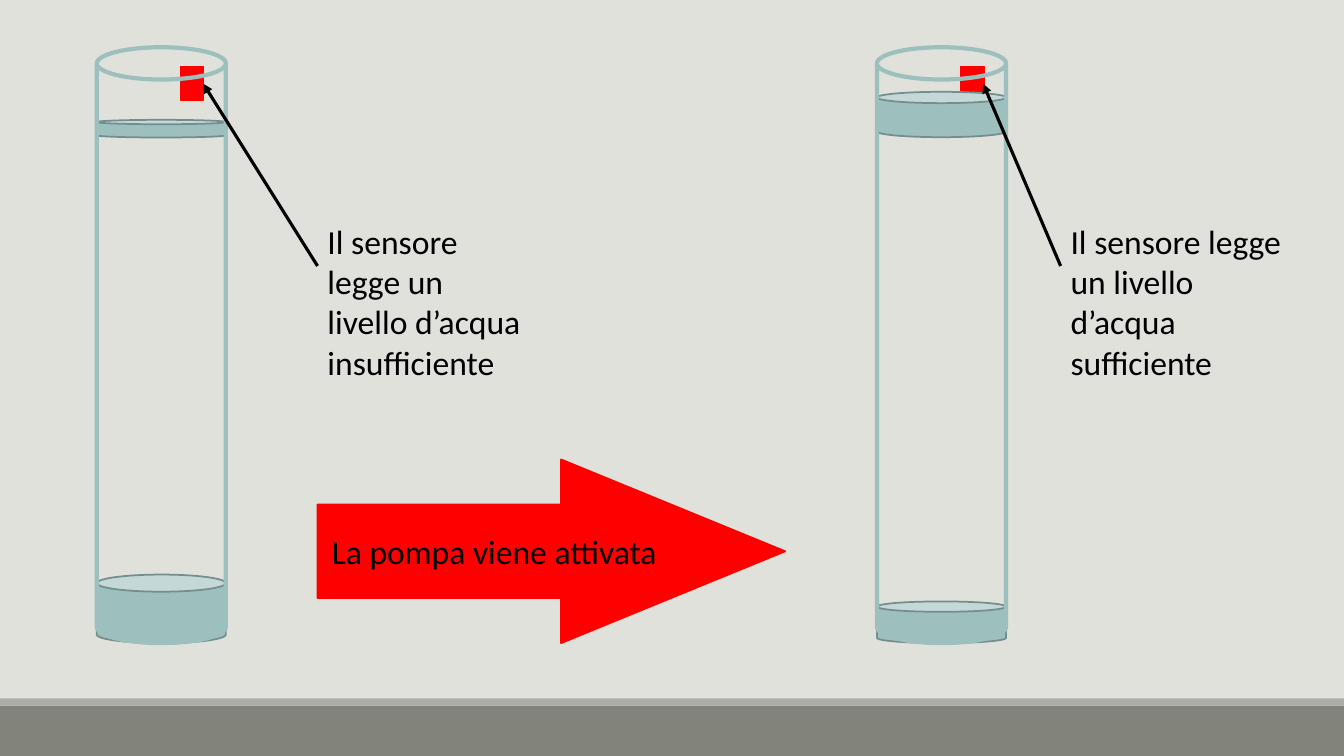
from lxml.etree import SubElement
from pptx import Presentation
from pptx.dml.color import RGBColor
from pptx.enum.shapes import MSO_CONNECTOR, MSO_SHAPE
from pptx.enum.text import MSO_ANCHOR, MSO_AUTO_SIZE, PP_ALIGN
from pptx.oxml.ns import qn
from pptx.util import Pt

HEX = {
    "ground": "E1E1DB", "floor": "82847C", "ledge": "ACADA8",
    "red": "FF0000", "water": "9DBFBE", "edge": "748D8D", "ink": "000000",
}
FONT = {"name": "Calibri", "size": Pt(24)}
LABEL = {"word_wrap": True, "auto_size": MSO_AUTO_SIZE.SHAPE_TO_FIT_TEXT}
ARROW = {"word_wrap": True, "vertical_anchor": MSO_ANCHOR.MIDDLE}

WIDE, HIGH = 960, 540
TANK_TOP, TANK_WIDE, TANK_HIGH = 33.8, 92.2, 425.6
TANK_END = TANK_TOP + TANK_HIGH


def color(name):
    return RGBColor.from_string(HEX[name])


def apply(item, style):
    for key, value in style.items():
        setattr(item, key, value)


def shape(slide, kind, box, fill=None, edge=None, width=1.25):
    item = slide.shapes.add_shape(kind, *map(Pt, box))
    item.shadow.inherit = False
    if fill:
        item.fill.solid()
        item.fill.fore_color.rgb = color(fill)
    else:
        item.fill.background()
    if edge:
        item.line.color.rgb = color(edge)
        item.line.width = Pt(width)
    else:
        item.line.fill.background()
    return item


def write(item, text, style, align=PP_ALIGN.LEFT):
    frame = item.text_frame
    apply(frame, style)
    para = frame.paragraphs[0]
    para.alignment = align
    run = para.add_run()
    run.text = text
    apply(run.font, FONT)
    run.font.color.rgb = color("ink")


def tank(slide, left, pool, top, depth):
    """Draw a glass tube with a pool at its foot and water near its rim."""
    shape(slide, MSO_SHAPE.RECTANGLE, (left + 59.8, 47.5, 16.6, 23.8),
          "red", "red")
    for y, high in ((TANK_END - pool, pool), (top, depth)):
        shape(slide, MSO_SHAPE.CAN, (left, y, TANK_WIDE, high),
              "water", "edge")
    shape(slide, MSO_SHAPE.CAN, (left, TANK_TOP, TANK_WIDE, TANK_HIGH),
          edge="water", width=3)


def pointer(slide, start, end):
    line = slide.shapes.add_connector(
        MSO_CONNECTOR.STRAIGHT, *map(Pt, start + end))
    line.line.color.rgb = color("ink")
    line.line.width = Pt(2.25)
    SubElement(line.line._get_or_add_ln(), qn("a:tailEnd"), type="triangle")
    SubElement(line._element.spPr, qn("a:effectLst"))


def label(slide, left, width, tip, text):
    pointer(slide, (left, 190), (tip, 59.8))
    item = slide.shapes.add_textbox(*map(Pt, (left, 154.1, width, 72.7)))
    write(item, text, LABEL)


def main():
    deck = Presentation()
    deck.slide_width, deck.slide_height = Pt(WIDE), Pt(HIGH)
    slide = deck.slides.add_slide(deck.slide_layouts[6])
    slide.background.fill.solid()
    slide.background.fill.fore_color.rgb = color("ground")

    shape(slide, MSO_SHAPE.RECTANGLE, (0, 504, WIDE, 36), "floor")
    shape(slide, MSO_SHAPE.RECTANGLE, (0, 498.8, WIDE, 5.2), "ledge")

    tank(slide, 69.1, pool=49, top=85.6, depth=12.6)
    tank(slide, 626.4, pool=29.8, top=65.6, depth=32.4)

    pump = shape(slide, MSO_SHAPE.RIGHT_ARROW, (226.8, 328.2, 334.1, 131.2),
                 "red", "red")
    pump.adjustments[0], pump.adjustments[1] = 0.51, 1.22
    write(pump, "La pompa viene attivata", ARROW, PP_ALIGN.CENTER)

    label(slide, 226.8, 152.6, 145.2,
          "Il sensore legge un livello d’acqua insufficiente")
    label(slide, 757.6, 172.1, 702.2,
          "Il sensore legge un livello d’acqua sufficiente")

    deck.save("out.pptx")


if __name__ == "__main__":
    main()
